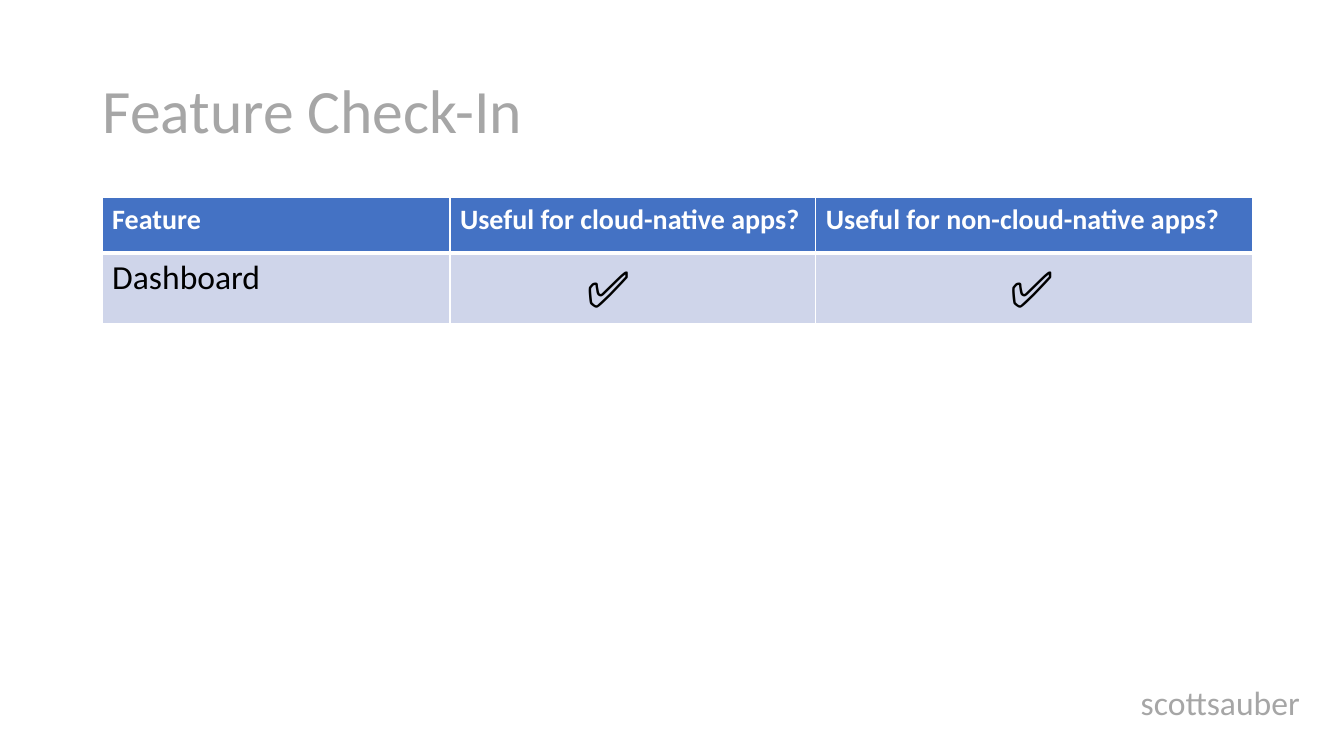
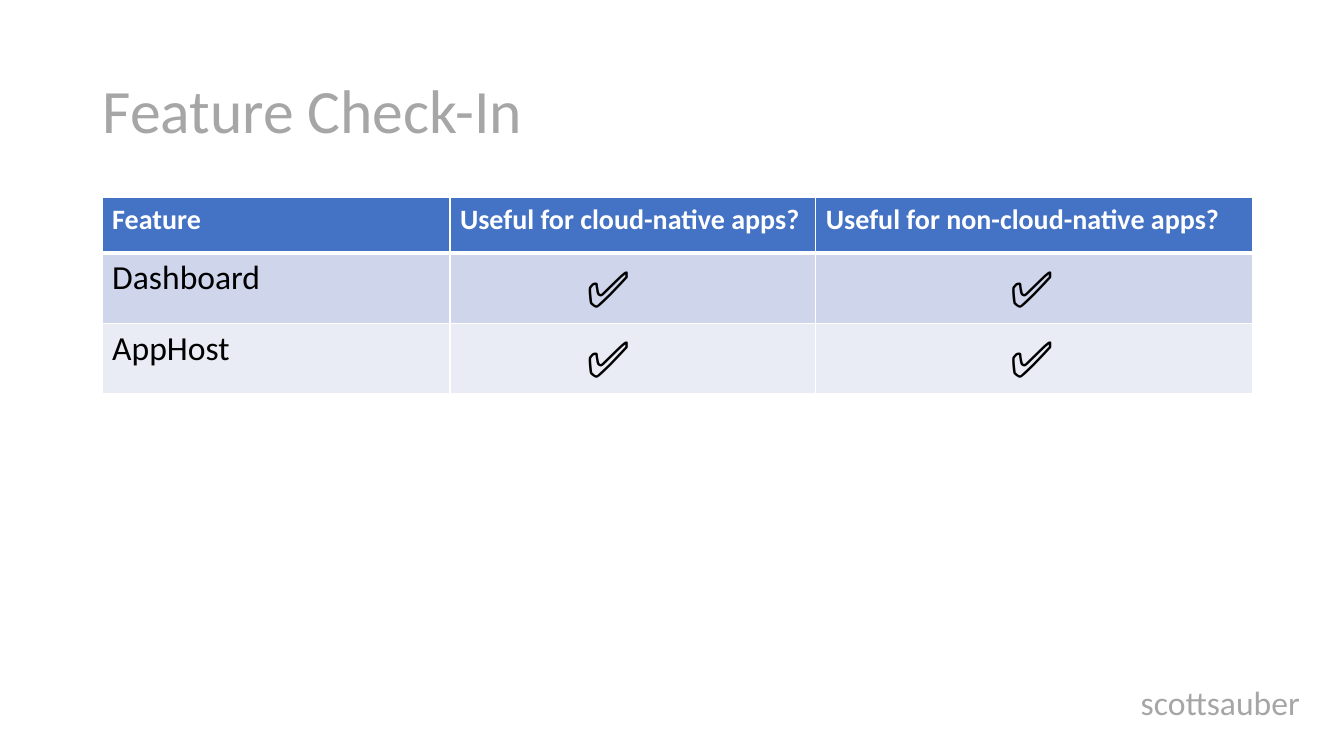
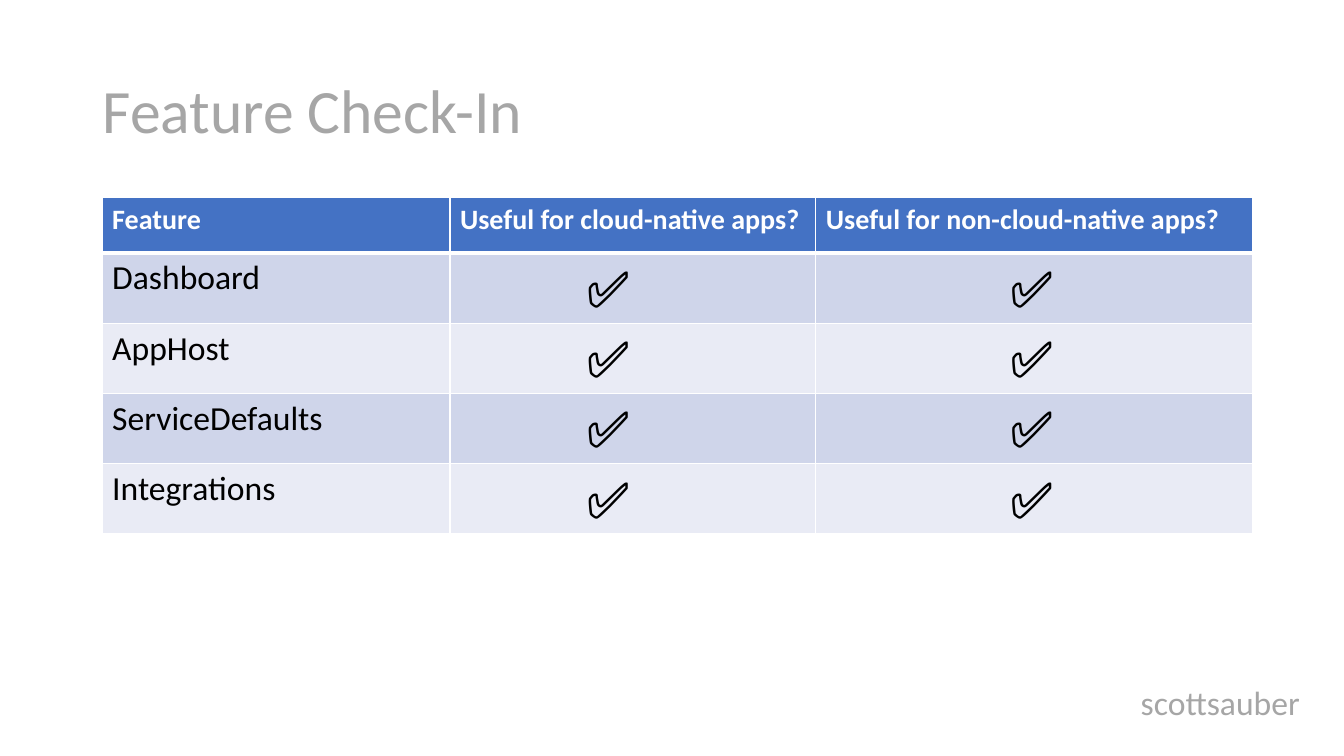
from dataclasses import dataclass

from lxml.etree import SubElement
from pptx import Presentation
from pptx.dml.color import RGBColor
from pptx.enum.text import MSO_ANCHOR, MSO_AUTO_SIZE, PP_ALIGN
from pptx.oxml.ns import qn
from pptx.slide import Slide
from pptx.table import _Cell
from pptx.text.text import TextFrame
from pptx.util import Emu, Inches, Pt

SLIDE_WIDTH = Inches(13.333)
SLIDE_HEIGHT = Inches(7.5)
FONT = "Calibri"
COLORS = {
    "muted": "A6A6A6",
    "header": "4472C4",
    "odd_row": "CFD5EA",
    "even_row": "E9EBF5",
    "white": "FFFFFF",
    "black": "000000",
}


@dataclass(frozen=True)
class Area:
    """A rectangle in percent of the slide's width and height."""

    left: float
    top: float
    width: float
    height: float


TITLE_AREA = Area(6.9, 5.33, 86.25, 19.33)
FOOTER_AREA = Area(82.35, 90.13, 16.88, 6.93)
TABLE_LEFT, TABLE_TOP = 7.6, 26.13
COLUMN_WIDTHS = (25.88, 27.23, 32.48)
HEADER_HEIGHT, ROW_HEIGHT = 7.33, 9.3
CHECK_LEFTS = (42.9, 74.4)
CHECK_TOP, CHECK_WIDTH, CHECK_HEIGHT = 33.33, 7.65, 9.47

HEADINGS = (
    "Feature",
    "Useful for cloud-native apps?",
    "Useful for non-cloud-native apps?",
)
FEATURES = ("Dashboard", "AppHost", "ServiceDefaults", "Integrations")
FEATURE_COUNTS = (1, 2, 4)


def across(percent: float) -> Emu:
    return Emu(round(SLIDE_WIDTH * percent / 100))


def down(percent: float) -> Emu:
    return Emu(round(SLIDE_HEIGHT * percent / 100))


def write_text(
    frame: TextFrame,
    text: str,
    *,
    size: float,
    color: str,
    bold: bool = False,
    align: PP_ALIGN = PP_ALIGN.LEFT,
    line_spacing: float = 1.0,
    space_before: float = 0,
) -> None:
    para = frame.paragraphs[0]
    para.alignment = align
    para.line_spacing = line_spacing
    para.space_before = Pt(space_before)
    span = para.add_run()
    span.text = text
    span.font.name = FONT
    span.font.size = Pt(size)
    span.font.bold = bold
    span.font.color.rgb = RGBColor.from_string(COLORS[color])


def add_box(page: Slide, area: Area) -> TextFrame:
    box = page.shapes.add_textbox(
        across(area.left), down(area.top), across(area.width), down(area.height)
    )
    box.text_frame.word_wrap = True
    return box.text_frame


def style_cell(cell: _Cell, row: int) -> None:
    properties = cell._tc.get_or_add_tcPr()
    widths = {"L": 1, "R": 1, "T": 3 if row == 1 else 1, "B": 3 if row == 0 else 1}
    for side, width in widths.items():
        border = SubElement(properties, qn(f"a:ln{side}"), w=str(Pt(width)))
        fill = SubElement(border, qn("a:solidFill"))
        SubElement(fill, qn("a:srgbClr"), val=COLORS["white"])
    color = "header" if row == 0 else "odd_row" if row % 2 else "even_row"
    cell.fill.solid()
    cell.fill.fore_color.rgb = RGBColor.from_string(COLORS[color])


def add_feature_table(page: Slide, features: tuple[str, ...]) -> None:
    heights = (HEADER_HEIGHT, *(ROW_HEIGHT for _ in features))
    table = page.shapes.add_table(
        len(heights),
        len(HEADINGS),
        across(TABLE_LEFT),
        down(TABLE_TOP),
        across(sum(COLUMN_WIDTHS)),
        down(sum(heights)),
    ).table
    for column, width in zip(table.columns, COLUMN_WIDTHS):
        column.width = across(width)
    for index, height in enumerate(heights):
        table.rows[index].height = down(height)
        for cell in table.rows[index].cells:
            style_cell(cell, index)
    for index, heading in enumerate(HEADINGS):
        write_text(
            table.cell(0, index).text_frame, heading, size=20, color="white", bold=True
        )
    for index, feature in enumerate(features, start=1):
        write_text(table.cell(index, 0).text_frame, feature, size=24, color="black")


def add_checks(page: Slide, count: int) -> None:
    for row in range(count):
        for left in CHECK_LEFTS:
            top = CHECK_TOP + row * ROW_HEIGHT
            frame = add_box(page, Area(left, top, CHECK_WIDTH, CHECK_HEIGHT))
            frame.auto_size = MSO_AUTO_SIZE.SHAPE_TO_FIT_TEXT
            write_text(frame, "✅", size=36, color="black")


def add_title_and_footer(page: Slide) -> None:
    title = add_box(page, TITLE_AREA)
    title.vertical_anchor = MSO_ANCHOR.MIDDLE
    write_text(title, "Feature Check-In", size=44, color="muted", line_spacing=0.9)
    write_text(
        add_box(page, FOOTER_AREA),
        "scottsauber",
        size=24,
        color="muted",
        align=PP_ALIGN.CENTER,
        line_spacing=0.9,
        space_before=10,
    )


def main() -> None:
    deck = Presentation()
    deck.slide_width = SLIDE_WIDTH
    deck.slide_height = SLIDE_HEIGHT
    for count in FEATURE_COUNTS:
        page = deck.slides.add_slide(deck.slide_layouts[6])
        add_title_and_footer(page)
        add_feature_table(page, FEATURES[:count])
        add_checks(page, count)
    deck.save("out.pptx")


if __name__ == "__main__":
    main()
